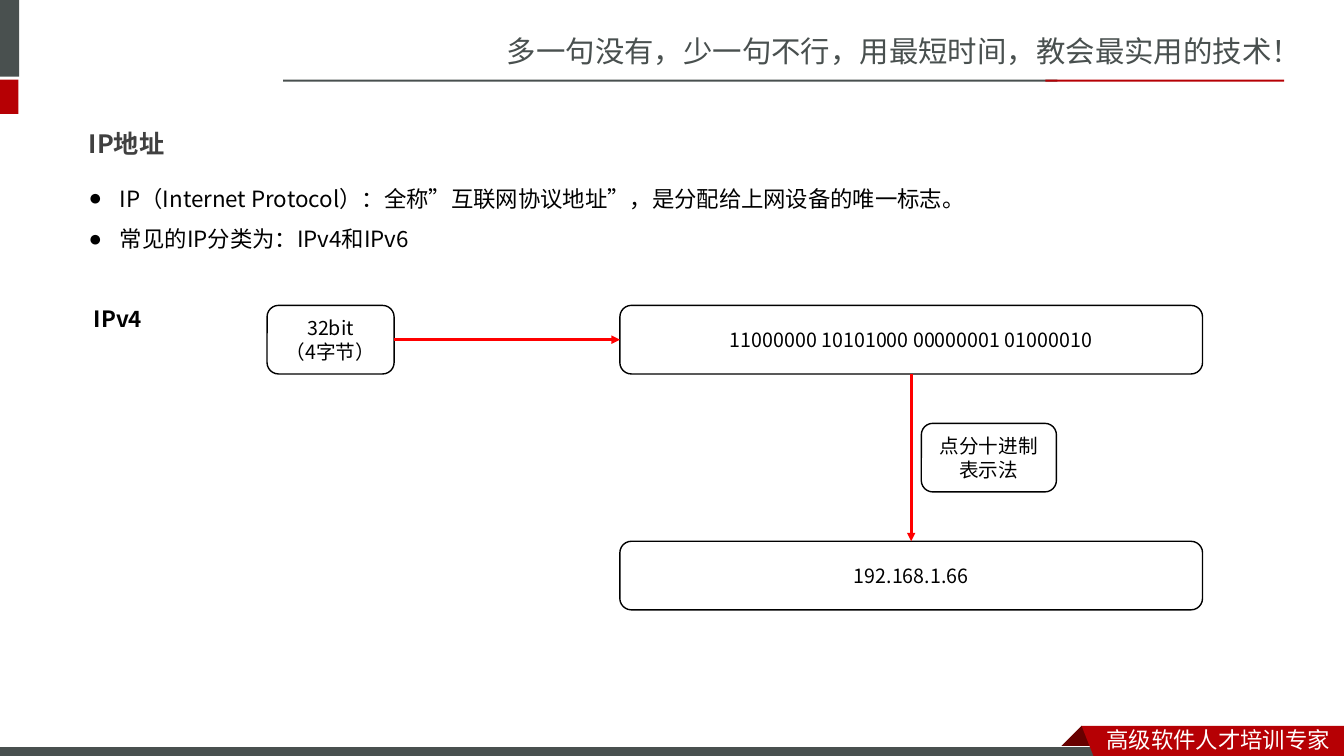
from dataclasses import dataclass

from lxml import etree
from pptx import Presentation
from pptx.dml.color import RGBColor
from pptx.enum.shapes import MSO_CONNECTOR, MSO_SHAPE
from pptx.enum.text import MSO_ANCHOR, MSO_AUTO_SIZE, PP_ALIGN
from pptx.oxml.ns import qn
from pptx.util import Inches, Pt

RECTANGLE = MSO_SHAPE.RECTANGLE
ROUNDED = MSO_SHAPE.ROUNDED_RECTANGLE
STRAIGHT = MSO_CONNECTOR.STRAIGHT
LEFT, CENTER = PP_ALIGN.LEFT, PP_ALIGN.CENTER
TOP, MIDDLE = MSO_ANCHOR.TOP, MSO_ANCHOR.MIDDLE
NO_AUTOFIT = MSO_AUTO_SIZE.NONE
SIDE_TOP, SIDE_LEFT, SIDE_BOTTOM, SIDE_RIGHT = range(4)

SLIDE_WIDTH, SLIDE_HEIGHT = Inches(13.33), Inches(7.5)
COLUMN, ROW = SLIDE_WIDTH / 160, SLIDE_HEIGHT / 90

BODY_FONT, BRAND_FONT = "Noto Sans CJK JP", "Noto Sans CJK SC"
GREY, RED, DARK_RED = "49504F", "B60004", "680000"
BLACK, WHITE, TITLE_GREY, ARROW_RED = "000000", "FFFFFF", "404040", "FF0000"


@dataclass(frozen=True)
class Area:
    """A block of the grid, in columns and rows."""
    column: float
    row: float
    columns: float
    rows: float

    def emu(self) -> tuple[int, int, int, int]:
        return (round(self.column * COLUMN), round(self.row * ROW),
                round(self.columns * COLUMN), round(self.rows * ROW))


@dataclass(frozen=True)
class TextStyle:
    size: float
    color: str = BLACK
    font: str = BODY_FONT
    bold: bool = False


@dataclass(frozen=True)
class Bar:
    area: Area
    color: str
    outline: str = ""


@dataclass(frozen=True)
class Outline:
    points: tuple[tuple[float, float], ...]
    color: str


@dataclass(frozen=True)
class Caption:
    area: Area
    text: str
    style: TextStyle


@dataclass(frozen=True)
class Box:
    name: str
    area: Area
    lines: tuple[str, ...]


@dataclass(frozen=True)
class Arrow:
    start: str
    start_side: int
    end: str
    end_side: int


@dataclass(frozen=True)
class Item:
    text: str
    bullet: str = "●"
    indent: float = 0.31
    space_before: float = 0
    bold: bool = False


BARS = (
    Bar(Area(0, 0, 2.28, 9.12), GREY),
    Bar(Area(0, 9.48, 2.2, 4.08), RED),
    Bar(Area(33.72, 9.48, 92.16, 0.24), GREY),
    Bar(Area(124.44, 9.48, 28.44, 0.24), RED),
)
RIBBON_FOLD = Outline(((128.76, 86.4), (131.4, 89.04), (131.28, 89.16),
                       (126.24, 89.16), (126.12, 89.04)), DARK_RED)
FOOTER_BAR = Bar(Area(0, 88.92, 131.88, 1.44), GREY, WHITE)
RIBBON = Outline(((128.76, 86.4), (160, 86.4), (160, 90.4), (130.32, 90.36)), RED)
CAPTIONS = (
    Caption(Area(59.16, 3.36, 100.84, 5.64), "多一句没有，少一句不行，用最短时间，教会最实用的技术！",
            TextStyle(21, GREY, BRAND_FONT)),
    Caption(Area(130.56, 85.8, 29.44, 4.44), "高级软件人才培训专家",
            TextStyle(16, WHITE, BRAND_FONT)),
)

TITLE_AREA = Area(9.36, 12.84, 61.44, 6.12)
BODY_AREA = Area(9.36, 19.8, 138.6, 24.84)
ITEMS = (
    Item("IP（Internet Protocol）：全称”互联网协议地址”，是分配给上网设备的唯一标志。"),
    Item("常见的IP分类为：IPv4和IPv6"),
    Item("IPv4", bullet="", indent=0.05, space_before=28.5, bold=True),
)

BOX_ROWS = 8.16
FIRST, SECOND, THIRD = (36.36 + 14.04 * step for step in range(3))
BOXES = (
    Box("bits", Area(31.8, FIRST, 15.12, BOX_ROWS), ("32bit", "（4字节）")),
    Box("binary", Area(73.8, FIRST, 69.36, BOX_ROWS), ("11000000 10101000 00000001 01000010",)),
    Box("notation", Area(109.68, SECOND, 16.08, BOX_ROWS), ("点分十进制", "表示法")),
    Box("decimal", Area(73.8, THIRD, 69.36, BOX_ROWS), ("192.168.1.66",)),
)
ARROWS = (
    Arrow("bits", SIDE_RIGHT, "binary", SIDE_LEFT),
    Arrow("binary", SIDE_BOTTOM, "decimal", SIDE_TOP),
)


def rgb(color: str) -> RGBColor:
    return RGBColor.from_string(color)


def add_run(paragraph, text: str, style: TextStyle) -> None:
    run = paragraph.add_run()
    run.text = text
    run.font.size, run.font.bold, run.font.name = Pt(style.size), style.bold, style.font
    run.font.color.rgb = rgb(style.color)
    etree.SubElement(run.font._element, qn("a:ea"), typeface=style.font)


def add_lines(frame, lines: tuple[str, ...], style: TextStyle, alignment=LEFT) -> None:
    for index, line in enumerate(lines):
        paragraph = frame.add_paragraph() if index else frame.paragraphs[0]
        paragraph.alignment = alignment
        add_run(paragraph, line, style)


def paint(shape, color: str, outline: str = "") -> None:
    shape.shadow.inherit = False
    shape.fill.solid()
    shape.fill.fore_color.rgb = rgb(color)
    if outline:
        shape.line.color.rgb, shape.line.width = rgb(outline), Pt(0.75)
    else:
        shape.line.fill.background()


def add_bar(slide, bar: Bar) -> None:
    paint(slide.shapes.add_shape(RECTANGLE, *bar.area.emu()), bar.color, bar.outline)


def add_outline(slide, outline: Outline) -> None:
    points = [(round(x * COLUMN), round(y * ROW)) for x, y in outline.points]
    builder = slide.shapes.build_freeform(*points[0])
    builder.add_line_segments(points[1:], close=True)
    paint(builder.convert_to_shape(), outline.color)


def add_caption(slide, caption: Caption) -> None:
    frame = slide.shapes.add_textbox(*caption.area.emu()).text_frame
    frame.word_wrap = True
    add_lines(frame, (caption.text,), caption.style)


def add_box(slide, box: Box):
    shape = slide.shapes.add_shape(ROUNDED, *box.area.emu())
    shape.shadow.inherit = False
    shape.fill.background()
    shape.line.color.rgb, shape.line.width = rgb(BLACK), Pt(1)
    shape.text_frame.vertical_anchor = MIDDLE
    add_lines(shape.text_frame, box.lines, TextStyle(14), CENTER)
    return shape


def add_arrow(slide, arrow: Arrow, boxes: dict) -> None:
    connector = slide.shapes.add_connector(STRAIGHT, 0, 0, 0, 0)
    connector.begin_connect(boxes[arrow.start], arrow.start_side)
    connector.end_connect(boxes[arrow.end], arrow.end_side)
    connector.line.color.rgb, connector.line.width = rgb(ARROW_RED), Pt(2)
    etree.SubElement(connector.line._get_or_add_ln(), qn("a:tailEnd"), type="triangle")
    etree.SubElement(connector._element.spPr, qn("a:effectLst"))


def place_placeholder(placeholder, area: Area):
    """Move a placeholder and return its text frame, set to the top without autofit."""
    placeholder.left, placeholder.top, placeholder.width, placeholder.height = area.emu()
    frame = placeholder.text_frame
    frame.vertical_anchor, frame.auto_size, frame.word_wrap = TOP, NO_AUTOFIT, True
    return frame


def fill_body(frame) -> None:
    for index, item in enumerate(ITEMS):
        paragraph = frame.add_paragraph() if index else frame.paragraphs[0]
        paragraph.line_spacing, paragraph.space_before = 1.5, Pt(item.space_before)
        properties = paragraph._p.get_or_add_pPr()
        properties.set("marL", str(Inches(item.indent)))
        properties.set("indent", str(-Inches(item.indent) if item.bullet else 0))
        if item.bullet:
            etree.SubElement(properties, qn("a:buChar"), char=item.bullet)
        else:
            etree.SubElement(properties, qn("a:buNone"))
        add_run(paragraph, item.text, TextStyle(16, bold=item.bold))


def main() -> None:
    presentation = Presentation()
    presentation.slide_width, presentation.slide_height = SLIDE_WIDTH, SLIDE_HEIGHT
    slide = presentation.slides.add_slide(presentation.slide_layouts[1])
    title = place_placeholder(slide.shapes.title, TITLE_AREA)
    add_lines(title, ("IP地址",), TextStyle(18, TITLE_GREY, bold=True))
    title.paragraphs[0].line_spacing = 1.5
    fill_body(place_placeholder(slide.placeholders[1], BODY_AREA))
    for bar in BARS:
        add_bar(slide, bar)
    add_outline(slide, RIBBON_FOLD)
    add_bar(slide, FOOTER_BAR)
    add_outline(slide, RIBBON)
    for caption in CAPTIONS:
        add_caption(slide, caption)
    boxes = {box.name: add_box(slide, box) for box in BOXES}
    for arrow in ARROWS:
        add_arrow(slide, arrow, boxes)
    presentation.save("out.pptx")


if __name__ == "__main__":
    main()
